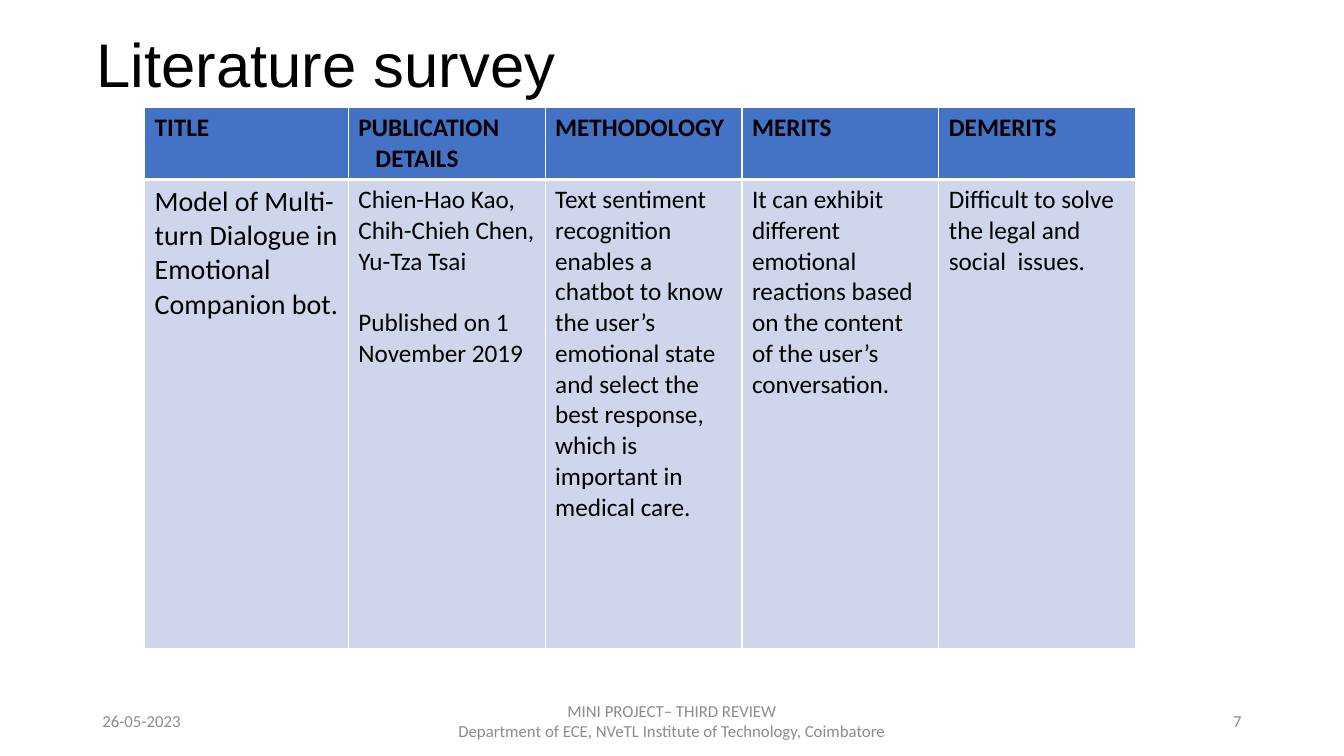
"""Build the literature survey slide with its table and footer."""
from dataclasses import dataclass

from lxml import etree
from pptx import Presentation
from pptx.dml.color import RGBColor
from pptx.enum.text import MSO_ANCHOR, PP_ALIGN
from pptx.oxml.ns import qn
from pptx.util import Pt

LEFT, MID, RIGHT = PP_ALIGN.LEFT, PP_ALIGN.CENTER, PP_ALIGN.RIGHT
CENTER = MSO_ANCHOR.MIDDLE
BLACK, WHITE, GRAY, BLUE, PALE = "000000", "FFFFFF", "8C8C8C", "4472C4", "CFD5EA"


@dataclass
class Para:
    text: str
    indent: float = 0
    before: float = 0


@dataclass
class Cell:
    paras: list[Para]
    size: float = 18


@dataclass
class Row:
    height: float
    fill: str
    bold: bool
    top: float
    base: float
    cells: list[Cell]


@dataclass
class Label:
    text: str
    left: float
    top: float
    width: float
    height: float
    size: float = 12
    font: str = "Calibri"
    color: str = GRAY
    align: PP_ALIGN = LEFT
    line: float = 1


LABELS = [
    Label("Literature survey", 62, 14.4, 828, 67.6, 44, "Arial", BLACK, LEFT, 0.9),
    Label("26-05-2023", 66, 500.5, 216, 28.8),
    Label("MINI PROJECT– THIRD REVIEW\n"
          "Department of ECE, NVeTL Institute of Technology, Coimbatore",
          318, 500.5, 324, 28.8, align=MID),
    Label("7", 678, 500.5, 216, 28.8, align=RIGHT),
]

WIDTHS = [145.5] + [140.6] * 4
ROWS = [
    Row(51.2, BLUE, True, 1, 3, [
        Cell([Para("TITLE")]),
        Cell([Para("PUBLICATION"), Para("DETAILS", indent=12.2)]),
        Cell([Para("METHODOLOGY")]),
        Cell([Para("MERITS")]),
        Cell([Para("DEMERITS")]),
    ]),
    Row(335.4, PALE, False, 3, 1, [
        Cell([Para("Model of Multi-turn Dialogue in Emotional"),
              Para("Companion bot.")], 20),
        Cell([Para("Chien-Hao Kao,"), Para("Chih-Chieh Chen,"), Para("Yu-Tza Tsai"),
              Para("Published on 1 November 2019", before=22)]),
        Cell([Para("Text sentiment recognition enables a chatbot to know the user’s "
                   "emotional state and select the best response, which is important "
                   "in medical care.")]),
        Cell([Para("It can exhibit different emotional reactions based on the content "
                   "of the user’s conversation.")]),
        Cell([Para("Difficult to solve the legal and social  issues.")]),
    ]),
]


def rgb(color: str) -> RGBColor:
    """Turn a hex string into a colour."""
    return RGBColor.from_string(color)


def style(para, size: float, font: str, color: str, bold: bool = False) -> None:
    """Format every run of a paragraph."""
    for run in para.runs:
        run.font.size = Pt(size)
        run.font.name = font
        run.font.bold = bold
        run.font.color.rgb = rgb(color)


def add_label(slide, label: Label) -> None:
    """Draw one text box."""
    box = slide.shapes.add_textbox(
        Pt(label.left), Pt(label.top), Pt(label.width), Pt(label.height))
    frame = box.text_frame
    frame.word_wrap = True
    frame.vertical_anchor = CENTER
    frame.text = label.text
    for para in frame.paragraphs:
        para.alignment = label.align
        para.line_spacing = label.line
        style(para, label.size, label.font, label.color)


def add_edge(cell, side: str, width: float) -> None:
    """Give one side of a cell a white border."""
    props = cell._tc.get_or_add_tcPr()
    edge = etree.SubElement(props, qn(f"a:ln{side}"), w=str(Pt(width)))
    fill = etree.SubElement(edge, qn("a:solidFill"))
    etree.SubElement(fill, qn("a:srgbClr"), val=WHITE)


def fill_cell(cell, data: Cell, row: Row) -> None:
    """Write and format one table cell."""
    for side, width in zip("LRTB", (1, 1, row.top, row.base)):
        add_edge(cell, side, width)
    cell.fill.solid()
    cell.fill.fore_color.rgb = rgb(row.fill)
    frame = cell.text_frame
    frame.text = "\n".join(item.text for item in data.paras)
    for para, item in zip(frame.paragraphs, data.paras):
        style(para, data.size, "Calibri", BLACK, row.bold)
        if item.before:
            para.space_before = Pt(item.before)
        if item.indent:
            para._p.get_or_add_pPr().set("marL", str(Pt(item.indent)))


def add_grid(slide) -> None:
    """Draw the survey table."""
    table = slide.shapes.add_table(
        len(ROWS), len(WIDTHS), Pt(103.3), Pt(77), Pt(sum(WIDTHS)),
        Pt(sum(row.height for row in ROWS))).table
    for col, width in zip(table.columns, WIDTHS):
        col.width = Pt(width)
    for line, row in zip(table.rows, ROWS):
        line.height = Pt(row.height)
        for cell, data in zip(line.cells, row.cells):
            fill_cell(cell, data, row)


def main() -> None:
    """Create and save the deck."""
    deck = Presentation()
    deck.slide_width, deck.slide_height = Pt(960), Pt(540)
    slide = deck.slides.add_slide(deck.slide_layouts[6])
    for label in LABELS:
        add_label(slide, label)
    add_grid(slide)
    deck.save("out.pptx")


if __name__ == "__main__":
    main()
